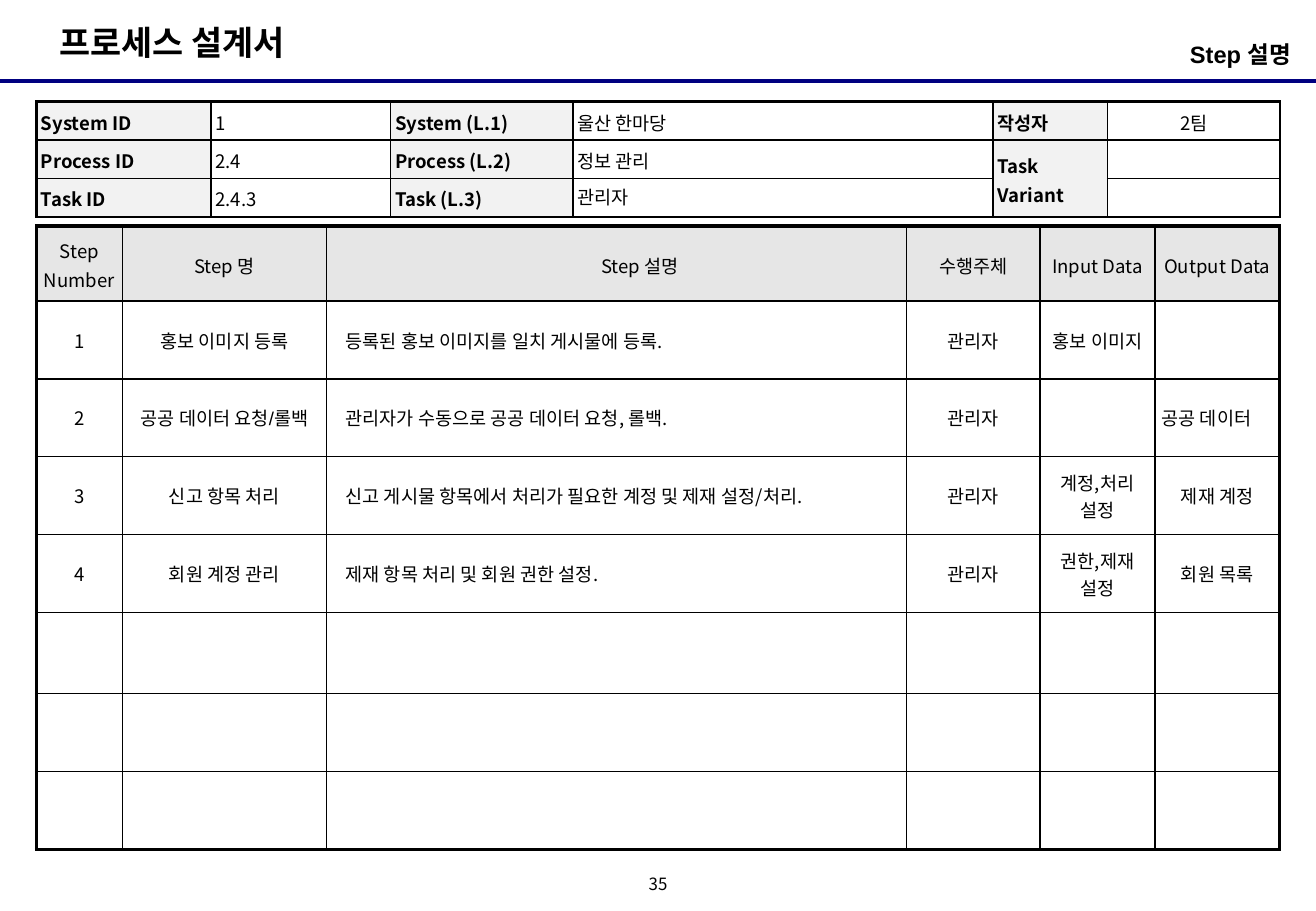
import pptx
import pptx.dml.color
import pptx.enum.shapes
import pptx.enum.text
import pptx.oxml.ns
import pptx.util
from lxml import etree

Pt = pptx.util.Pt
ALIGN = pptx.enum.text.PP_ALIGN
ANCHOR = pptx.enum.text.MSO_ANCHOR
qn = pptx.oxml.ns.qn

COLORS = {"text": "000000", "rule": "000080", "label": "F2F2F2", "header": "E6E6E6"}
SANS, LATIN = "Noto Sans CJK KR", "Arial"
TABLE_LEFT = 21.6

INFO_COLS = [103.5, 106.5, 108, 249.1, 67.8, 102.3]
INFO_ROWS = [22.5] * 3
INFO = [
    ["System ID", "1", "System (L.1)", "울산 한마당", "작성자", "2팀"],
    ["Process ID", "2.4", "Process (L.2)", "정보 관리", "Task Variant", ""],
    ["Task ID", "2.4.3", "Task (L.3)", "관리자", "", ""],
]

STEP_COLS = [51, 121, 343.7, 79.3, 68, 74]
STEP_ROWS = [44.4] + [46.2] * 4 + [48] + [46.2] * 2
STEP_HEADER = ["Step Number", "Step 명", "Step 설명", "수행주체", "Input Data", "Output Data"]
STEPS = [
    ["1", "홍보 이미지 등록", "등록된 홍보 이미지를 일치 게시물에 등록.", "관리자", "홍보 이미지", ""],
    ["2", "공공 데이터 요청/롤백", "관리자가 수동으로 공공 데이터 요청, 롤백.", "관리자", "", "공공 데이터"],
    ["3", "신고 항목 처리", "신고 게시물 항목에서 처리가 필요한 계정 및 제재 설정/처리.",
     "관리자", "계정,처리 설정", "제재 계정"],
    ["4", "회원 계정 관리", "제재 항목 처리 및 회원 권한 설정.", "관리자", "권한,제재 설정", "회원 목록"],
]


def rgb(name):
    return pptx.dml.color.RGBColor.from_string(COLORS[name])


def add_run(p, text, size, bold=False, latin=SANS):
    r = p.add_run()
    r.text = text
    r.font.size, r.font.bold, r.font.name = Pt(size), bold, latin
    r.font.color.rgb = rgb("text")
    etree.SubElement(r._r.get_or_add_rPr(), qn("a:ea")).set("typeface", SANS)


def place(sp, left, top, width, height):
    sp.left, sp.top, sp.width, sp.height = Pt(left), Pt(top), Pt(width), Pt(height)


def set_margins(box, left, top, right, bottom):
    box.margin_left, box.margin_top = Pt(left), Pt(top)
    box.margin_right, box.margin_bottom = Pt(right), Pt(bottom)


def add_title(s, text):
    sp = s.shapes.title
    place(sp, 28, 9.4, 163, 32)
    tf = sp.text_frame
    tf.word_wrap = False
    tf.vertical_anchor = ANCHOR.TOP
    set_margins(tf, 7.2, 3.6, 7.2, 3.6)
    p = tf.paragraphs[0]
    p.alignment = ALIGN.LEFT
    p.line_spacing = 1.0
    p.space_before = Pt(0)
    add_run(p, text, 20, True)


def add_text(s, text, bounds, margins, size, align, anchor, bold=False, latin=SANS):
    tf = s.shapes.add_textbox(*map(Pt, bounds)).text_frame
    tf.word_wrap = True
    tf.vertical_anchor = anchor
    set_margins(tf, *margins)
    p = tf.paragraphs[0]
    p.alignment = align
    add_run(p, text, size, bold, latin)
    return p


def add_rule(s, y, width):
    line = s.shapes.add_connector(pptx.enum.shapes.MSO_CONNECTOR.STRAIGHT, 0, Pt(y), Pt(width), Pt(y))
    line.line.color.rgb = rgb("rule")
    line.line.width = Pt(2.25)
    etree.SubElement(line._element.spPr, qn("a:effectLst"))


def set_borders(cell, widths):
    """Draw the left, right, top and bottom edges in the given point widths."""
    tcPr = cell._tc.get_or_add_tcPr()
    for side, width in zip("LRTB", widths):
        ln = etree.SubElement(tcPr, qn(f"a:ln{side}"), w=str(Pt(width)))
        fill = etree.SubElement(ln, qn("a:solidFill"))
        etree.SubElement(fill, qn("a:srgbClr"), val=COLORS["text"])


def add_grid(s, top, cols, rows, outer):
    """Add an empty table with thin inner lines and an outer frame."""
    frame = s.shapes.add_table(len(rows), len(cols), Pt(TABLE_LEFT), Pt(top), Pt(sum(cols)), Pt(sum(rows)))
    table = frame.table
    table.first_row = table.horz_banding = False
    for col, width in zip(table.columns, cols):
        col.width = Pt(width)
    for row, height in zip(table.rows, rows):
        row.height = Pt(height)
    for i in range(len(rows)):
        for j in range(len(cols)):
            edges = (j == 0, j == len(cols) - 1, i == 0, i == len(rows) - 1)
            set_borders(table.cell(i, j), [outer if edge else 1 for edge in edges])
    return table


def fill_cell(cell, text, margins, color=None, align=ALIGN.LEFT, anchor=ANCHOR.MIDDLE,
              bold=False, latin=SANS, indent=0, spacing=None, before=0, after=0):
    set_margins(cell, *margins)
    cell.vertical_anchor = anchor
    if color:
        cell.fill.solid()
        cell.fill.fore_color.rgb = rgb(color)
    else:
        cell.fill.background()
    p = cell.text_frame.paragraphs[0]
    if not text:
        etree.SubElement(p._p, qn("a:endParaRPr"), sz="1100")
        return
    p.alignment = align
    if indent:
        p._p.get_or_add_pPr().set("marL", str(Pt(indent)))
    if spacing:
        p.line_spacing = spacing
    p.space_before, p.space_after = Pt(before), Pt(after)
    add_run(p, text, 11, bold, latin)


def add_info_table(s):
    table = add_grid(s, 60.2, INFO_COLS, INFO_ROWS, 1.5)
    for i, row in enumerate(INFO):
        for j, text in enumerate(row):
            label = j % 2 == 0
            loose = {} if (i, j) == (2, 3) else {"spacing": 1.1, "before": 1.1, "after": 1.1}
            fill_cell(table.cell(i, j), text, [2.6] * 4, "label" if label else None,
                      ALIGN.CENTER if j == 5 else ALIGN.LEFT,
                      ANCHOR.MIDDLE if j > 3 else ANCHOR.TOP, label, **loose)
    for j in (4, 5):
        for i, side in ((0, "B"), (1, "T")):
            table.cell(i, j)._tc.tcPr.find(qn(f"a:ln{side}")).set("w", str(Pt(1.5)))
    variant = table.cell(1, 4)
    variant.merge(table.cell(2, 4))
    variant._tc.tcPr.find(qn("a:lnB")).set("w", str(Pt(1.5)))


def add_step_table(s):
    table = add_grid(s, 134, STEP_COLS, STEP_ROWS, 2.25)
    margins = [4, 2.6, 4, 2.6]
    for j, text in enumerate(STEP_HEADER):
        fill_cell(table.cell(0, j), text, margins, "header", ALIGN.CENTER,
                  indent=28 if j == 2 else 0, spacing=1.1, after=1.1)
    blank = [[""] * len(STEP_COLS)] * (len(STEP_ROWS) - 1 - len(STEPS))
    for i, row in enumerate(STEPS + blank, 1):
        for j, text in enumerate(row):
            left = j == 2 or (i, j) == (2, 5)
            fill_cell(table.cell(i, j), text, margins, align=ALIGN.LEFT if left else ALIGN.CENTER,
                      latin=LATIN if j == 1 else SANS, indent=7.2 if j == 2 else 0)


def main():
    prs = pptx.Presentation()
    prs.slide_width, prs.slide_height = Pt(780), Pt(540)
    s = prs.slides.add_slide(prs.slide_layouts[5])
    add_rule(s, 48.2, 780)
    add_title(s, "프로세스 설계서")
    add_info_table(s)
    add_step_table(s)
    add_text(s, "Step 설명", (532, 20.2, 238.4, 28), (0, 3.6, 5, 3.6), 14,
             ALIGN.RIGHT, ANCHOR.TOP, True, LATIN).space_before = Pt(2.8)
    add_text(s, "35", (378, 516.2, 24, 18), [0] * 4, 10, ALIGN.CENTER, ANCHOR.MIDDLE).line_spacing = 0.8
    prs.save("out.pptx")


if __name__ == "__main__":
    main()
